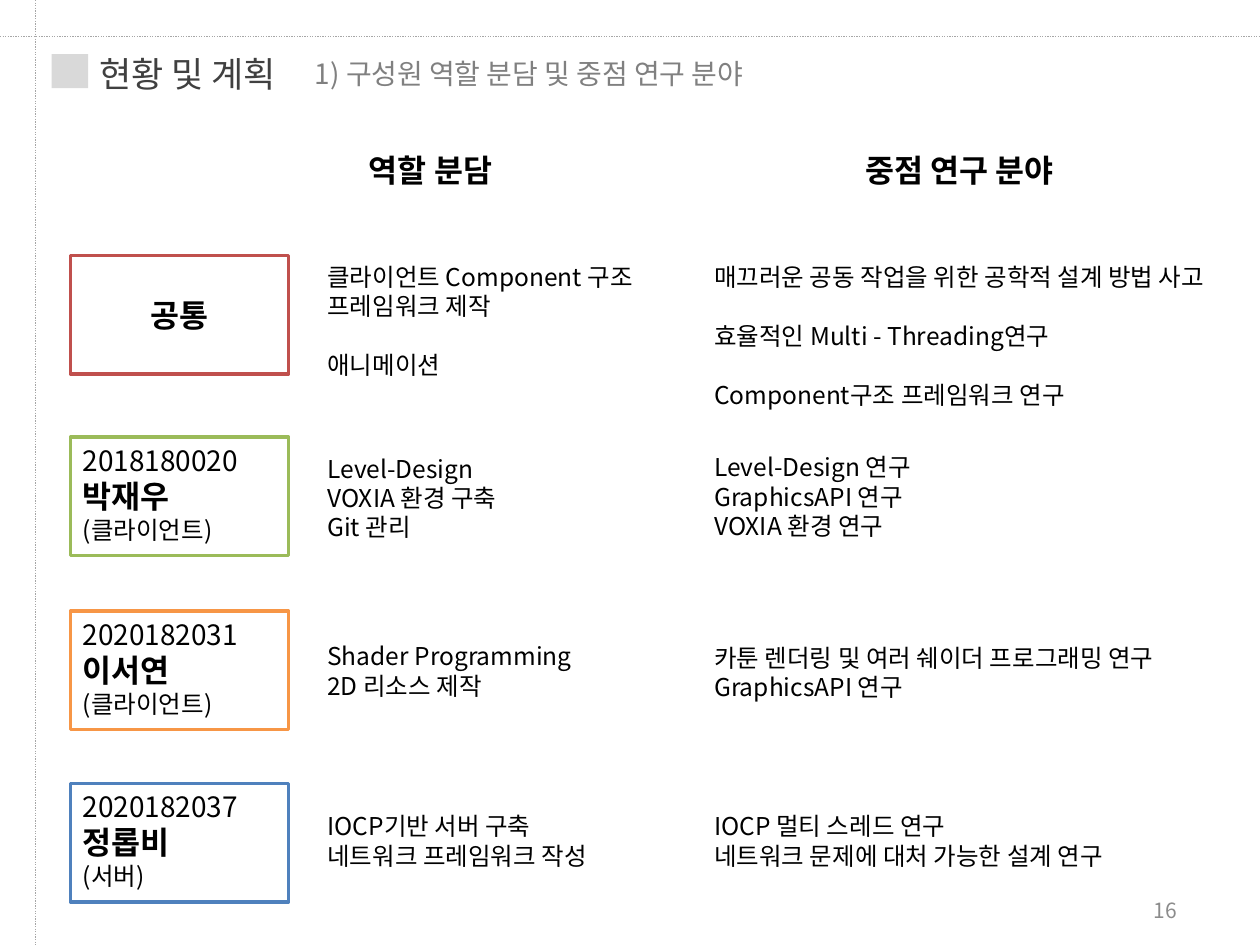
from lxml.etree import SubElement
from pptx import Presentation
from pptx.dml.color import RGBColor
from pptx.enum.dml import MSO_LINE
from pptx.enum.shapes import MSO_CONNECTOR, MSO_SHAPE
from pptx.enum.text import MSO_ANCHOR, PP_ALIGN
from pptx.oxml.ns import qn
from pptx.util import Inches, Pt

FONT = "Noto Sans CJK KR"
LINE_HEIGHT = 1.2
ROLE_LEFT, FOCUS_LEFT = 2.5, 5.57
CARD_LEFT, CARD_WIDTH, CARD_HEIGHT = 0.56, 1.73, 0.94
BODY_WIDTH = 6.74

prs = Presentation()
prs.slide_width, prs.slide_height = Inches(10), Inches(7.5)
slide = prs.slides.add_slide(prs.slide_layouts[6])
shapes = slide.shapes


def paint(color_format, color):
    color_format.rgb = RGBColor.from_string(color)


def write(box, lines, color="000000", align=PP_ALIGN.LEFT, anchor=MSO_ANCHOR.TOP):
    """Fill a box with (text, size, bold, gap above in lines) tuples."""
    frame = box.text_frame
    frame.word_wrap = True
    frame.vertical_anchor = anchor
    for number, (text, size, bold, gap) in enumerate(lines):
        paragraph = frame.add_paragraph() if number else frame.paragraphs[0]
        paragraph.alignment = align
        paragraph.line_spacing = Pt(size * LINE_HEIGHT)
        if gap:
            paragraph.space_before = Pt(gap * size * LINE_HEIGHT)
        run = paragraph.add_run()
        run.text = text
        for key, value in {"name": FONT, "size": Pt(size), "bold": bold}.items():
            setattr(run.font, key, value)
        paint(run.font.color, color)
        # Hangul takes its typeface from the East Asian slot
        SubElement(run.font._element, qn("a:ea"), typeface=FONT)


# Title bar and its dotted guides
for start, end in [((0.28, 0), (0.28, 7.5)), ((0, 0.29), (10, 0.29))]:
    guide = shapes.add_connector(MSO_CONNECTOR.STRAIGHT, *map(Inches, start + end))
    guide.line.width = Pt(0.75)
    guide.line.dash_style = MSO_LINE.ROUND_DOT
    paint(guide.line.color, "A6A6A6")
    SubElement(guide._element.spPr, qn("a:effectLst"))

marker = shapes.add_shape(MSO_SHAPE.RECTANGLE, *map(Inches, (0.41, 0.43, 0.29, 0.27)))
marker.shadow.inherit = False
marker.fill.solid()
paint(marker.fill.fore_color, "D9D9D9")
marker.line.fill.background()

headings = [
    ("현황 및 계획", 20, False, "404040", (0.69, 0.37, 1.94, 0.44)),
    ("1) 구성원 역할 분담 및 중점 연구 분야", 16, False, "808080", (2.4, 0.4, 5.75, 0.37)),
    ("역할 분담", 18, True, "000000", (2.83, 1.15, 2.44, 0.4)),
    ("중점 연구 분야", 18, True, "000000", (6.77, 1.15, 2.83, 0.4)),
]
for text, size, bold, color, place in headings:
    write(shapes.add_textbox(*map(Inches, place)), [(text, size, bold, 0)], color)

# One row per member: card top, outline, card lines, then (top, height, lines)
# for the role and the focus; a line that opens a new item carries a gap of 1
rows = [
    (2.03, "C0504D", ["공통"],
     (2.03, 1.35, [("클라이언트 Component 구조", 0), ("프레임워크 제작", 0),
                   ("애니메이션", 1)]),
     (2.03, 1.28, [("매끄러운 공동 작업을 위한 공학적 설계 방법 사고", 0),
                   ("효율적인 Multi - Threading연구", 1),
                   ("Component구조 프레임워크 연구", 1)])),
    (3.47, "9BBB59", ["2018180020", "박재우", "(클라이언트)"],
     (3.55, 0.81, [("Level-Design", 0), ("VOXIA 환경 구축", 0), ("Git 관리", 0)]),
     (3.54, 1.04, [("Level-Design 연구", 0), ("GraphicsAPI 연구", 0),
                   ("VOXIA 환경 연구", 0)])),
    (4.85, "F79646", ["2020182031", "이서연", "(클라이언트)"],
     (5.04, 0.57, [("Shader Programming", 0), ("2D 리소스 제작", 0)]),
     (5.05, 0.81, [("카툰 렌더링 및 여러 쉐이더 프로그래밍 연구", 0),
                   ("GraphicsAPI 연구", 0)])),
    (6.22, "4F81BD", ["2020182037", "정롭비", "(서버)"],
     (6.39, 0.57, [("IOCP기반 서버 구축", 0), ("네트워크 프레임워크 작성", 0)]),
     (6.39, 0.57, [("IOCP 멀티 스레드 연구", 0),
                   ("네트워크 문제에 대처 가능한 설계 연구", 0)])),
]
for top, outline, card_lines, role, focus in rows:
    card = shapes.add_shape(MSO_SHAPE.RECTANGLE, Inches(CARD_LEFT), Inches(top),
                            Inches(CARD_WIDTH), Inches(CARD_HEIGHT))
    card.shadow.inherit = False
    card.fill.solid()
    paint(card.fill.fore_color, "FFFFFF")
    paint(card.line.color, outline)
    card.line.width = Pt(2)
    if len(card_lines) == 1:
        write(card, [(card_lines[0], 18, True, 0)],
              align=PP_ALIGN.CENTER, anchor=MSO_ANCHOR.MIDDLE)
    else:
        student_id, member, part = card_lines
        write(card, [(student_id, 16, False, 0), (member, 18, True, 0),
                     (part, 14, False, 0)])

    for left, (body_top, height, lines) in ((ROLE_LEFT, role), (FOCUS_LEFT, focus)):
        body = shapes.add_textbox(Inches(left), Inches(body_top),
                                  Inches(BODY_WIDTH), Inches(height))
        write(body, [(text, 14, False, gap) for text, gap in lines])

page_number = shapes.add_textbox(*map(Inches, (7.11, 7.02, 2.33, 0.4)))
write(page_number, [("16", 12, False, 0)], "8C8C8C", PP_ALIGN.RIGHT, MSO_ANCHOR.MIDDLE)

prs.save("out.pptx")
